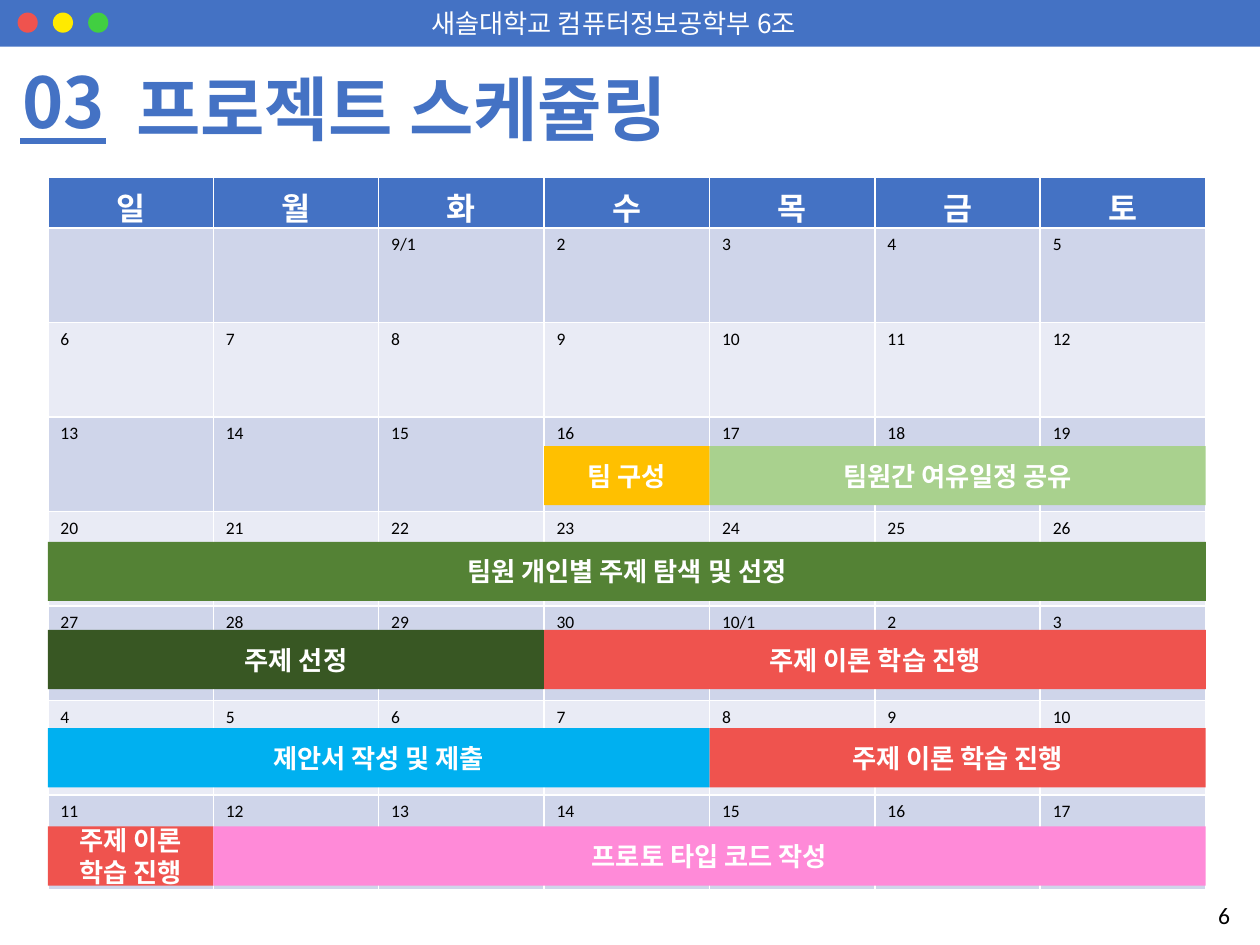
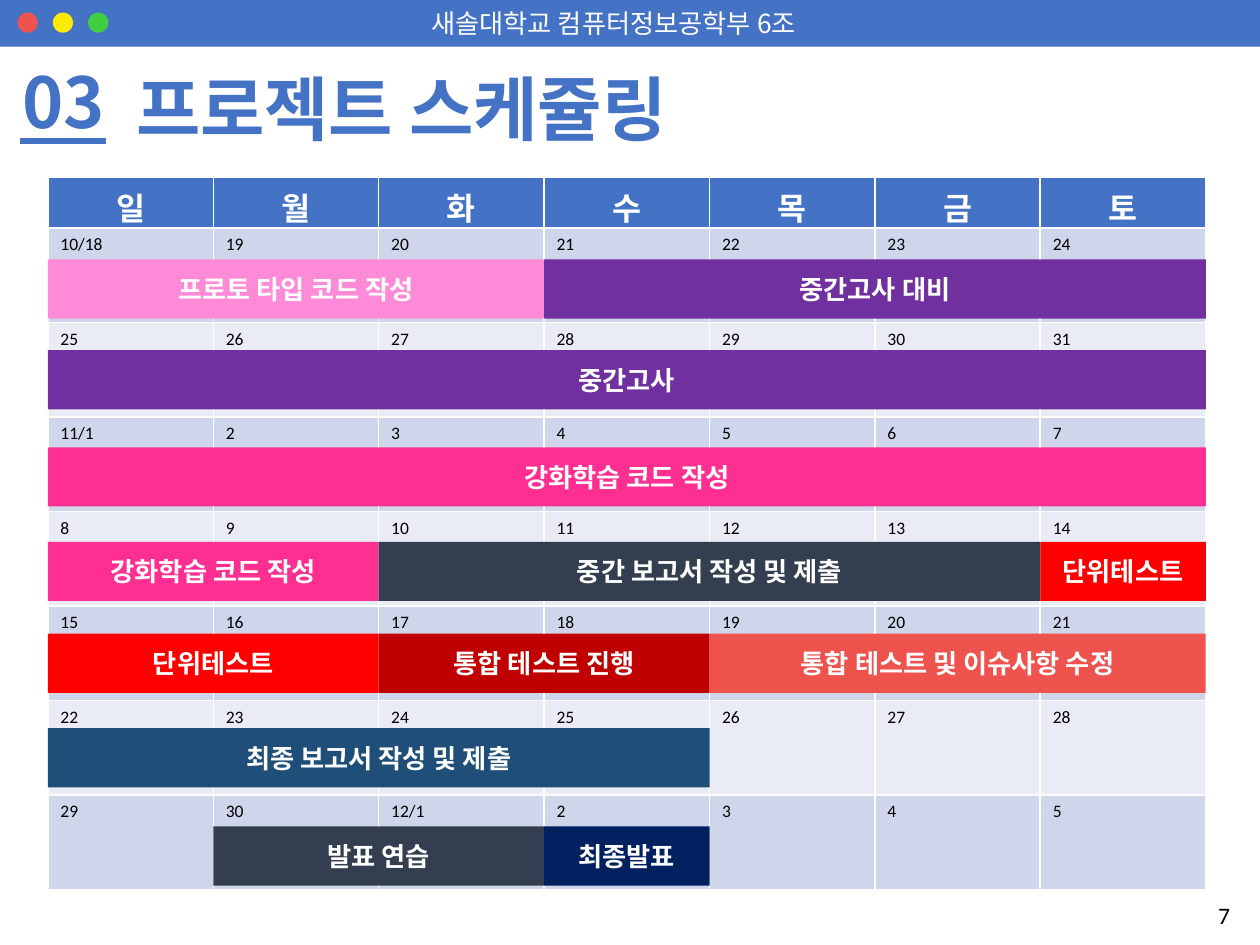
from pptx import Presentation
from pptx.dml.color import RGBColor
from pptx.enum.shapes import MSO_CONNECTOR, MSO_SHAPE
from pptx.enum.text import MSO_ANCHOR, MSO_AUTO_SIZE, PP_ALIGN
from pptx.oxml.xmlchemy import OxmlElement
from pptx.util import Pt

PX = 9144
RECT, OVAL = MSO_SHAPE.RECTANGLE, MSO_SHAPE.OVAL
STRAIGHT = MSO_CONNECTOR.STRAIGHT
TOP, MIDDLE = MSO_ANCHOR.TOP, MSO_ANCHOR.MIDDLE
LEFT, CENTER = PP_ALIGN.LEFT, PP_ALIGN.CENTER
NO_FIT = MSO_AUTO_SIZE.NONE
TITLE_ONLY = 5

HEAD_FONT, BODY_FONT = "Noto Sans CJK KR", "Calibri"
COLORS = {
    "blue": "4472C4", "white": "FFFFFF", "black": "000000",
    "band_dark": "CFD5EA", "band_light": "E9EBF5",
    "coral": "EF534E", "yellow": "FFEA00", "lime": "41CF41",
    "amber": "FFC000", "sage": "A9D18E", "green": "548235",
    "forest": "385723", "sky": "00B0F0", "pink": "FF8AD8",
    "purple": "7030A0", "magenta": "FF2F92", "slate": "333F50",
    "red": "FF0000", "crimson": "C00000", "steel": "1F4E79", "navy": "002060",
}

WEEKDAYS = "일월화수목금토"
WEEKS = 7
MONTH_DAYS = {9: 30, 10: 31, 11: 30, 12: 31}
TABLE_LEFT, TABLE_TOP, TABLE_WIDTH = 38, 141, 919
HEADER_HEIGHT, WEEK_HEIGHT, BAR_HEIGHT = 40, 75, 47

SCHEDULES = [
    {
        "page": 6, "start": (9, 1), "blanks": 2,
        "bars": {
            354: [(3, 1, "amber", "팀 구성"), (4, 3, "sage", "팀원간 여유일정 공유")],
            430: [(0, 7, "green", "팀원 개인별 주제 탐색 및 선정")],
            500: [(0, 3, "forest", "주제 선정"), (3, 4, "coral", "주제 이론 학습 진행")],
            578: [(0, 4, "sky", "제안서 작성 및 제출"), (4, 3, "coral", "주제 이론 학습 진행")],
            656: [(0, 1, "coral", "주제 이론 학습 진행"), (1, 6, "pink", "프로토 타입 코드 작성")],
        },
    },
    {
        "page": 7, "start": (10, 18), "blanks": 0,
        "bars": {
            206: [(0, 3, "pink", "프로토 타입 코드 작성"), (3, 4, "purple", "중간고사 대비")],
            278: [(0, 7, "purple", "중간고사")],
            355: [(0, 7, "magenta", "강화학습 코드 작성")],
            430: [(0, 2, "magenta", "강화학습 코드 작성"),
                  (2, 4, "slate", "중간 보고서 작성 및 제출"), (6, 1, "red", "단위테스트")],
            503: [(0, 2, "red", "단위테스트"), (2, 2, "crimson", "통합 테스트 진행"),
                  (4, 3, "coral", "통합 테스트 및 이슈사항 수정")],
            578: [(0, 4, "steel", "최종 보고서 작성 및 제출")],
            656: [(1, 2, "slate", "발표 연습"), (3, 1, "navy", "최종발표")],
        },
    },
]


def rgb(color):
    return RGBColor.from_string(COLORS[color])


def emu(*lengths):
    return [round(n * PX) for n in lengths]


def day_labels(start, blanks):
    month, day = start
    labels = [""] * blanks + [f"{month}/{day}"]
    while len(labels) < WEEKS * len(WEEKDAYS):
        day += 1
        if day > MONTH_DAYS[month]:
            month, day = month + 1, 1
            labels.append(f"{month}/{day}")
        else:
            labels.append(str(day))
    return labels


class Deck:
    def __init__(self):
        self.prs = Presentation()
        self.prs.slide_width, self.prs.slide_height = emu(1000, 750)
        self.s = None

    def new_slide(self):
        self.s = self.prs.slides.add_slide(self.prs.slide_layouts[TITLE_ONLY])

    def set_text(self, tf, text, size, color, font=BODY_FONT, bold=False, align=LEFT):
        p = tf.paragraphs[0]
        p.text = text
        p.alignment = align
        p.font.name = font
        p.font.size = Pt(size)
        p.font.bold = bold
        p.font.color.rgb = rgb(color)

    def shape(self, kind, x, y, w, h, color):
        sp = self.s.shapes.add_shape(kind, *emu(x, y, w, h))
        sp.shadow.inherit = False
        sp.fill.solid()
        sp.fill.fore_color.rgb = rgb(color)
        sp.line.fill.background()
        return sp

    def text(self, x, y, w, h, text, size, color, anchor=MIDDLE, **style):
        tf = self.s.shapes.add_textbox(*emu(x, y, w, h)).text_frame
        tf.word_wrap = True
        tf.vertical_anchor = anchor
        self.set_text(tf, text, size, color, **style)

    def title(self, number, text):
        sp = self.s.shapes.title
        sp.left, sp.top, sp.width, sp.height = emu(98, 47, 591, 77)
        tf = sp.text_frame
        tf.auto_size = NO_FIT
        tf.vertical_anchor = MIDDLE
        self.set_text(tf, text, 40, "blue", font=HEAD_FONT, bold=True)
        self.text(8, 41, 102, 77, number, 40, "blue", font=HEAD_FONT, bold=True)
        self.line(16, 112, 84, 112, "blue", 3)

    def line(self, x1, y1, x2, y2, color, width):
        c = self.s.shapes.add_connector(STRAIGHT, *emu(x1, y1, x2, y2))
        c.line.color.rgb = rgb(color)
        c.line.width = Pt(width)
        c._element.spPr.append(OxmlElement("a:effectLst"))

    def frame(self, page):
        self.shape(RECT, 0, 0, 1000, 37, "blue")
        for i, color in enumerate(("coral", "yellow", "lime")):
            self.shape(OVAL, 14 + 28 * i, 10, 16, 16, color)
        self.text(260, 1, 454, 35, "새솔대학교 컴퓨터정보공학부 6조", 15, "white",
                  font=HEAD_FONT, align=CENTER)
        self.text(957, 710, 52, 40, str(page), 13.5, "black", anchor=TOP)

    def calendar(self, labels):
        days = len(WEEKDAYS)
        height = HEADER_HEIGHT + WEEKS * WEEK_HEIGHT
        table = self.s.shapes.add_table(
            WEEKS + 1, days, *emu(TABLE_LEFT, TABLE_TOP, TABLE_WIDTH, height)).table
        for i, row in enumerate(table.rows):
            row.height = emu(WEEK_HEIGHT if i else HEADER_HEIGHT)[0]
        for i, label in enumerate([*WEEKDAYS, *labels]):
            week, day = divmod(i, days)
            cell = table.cell(week, day)
            cell.fill.solid()
            if week == 0:
                cell.fill.fore_color.rgb = rgb("blue")
                self.set_text(cell.text_frame, label, 18, "white", bold=True, align=CENTER)
            else:
                cell.fill.fore_color.rgb = rgb("band_dark" if week % 2 else "band_light")
                self.set_text(cell.text_frame, label, 10, "black")

    def bar(self, top, first_day, days, color, text):
        step = TABLE_WIDTH / len(WEEKDAYS)
        sp = self.shape(RECT, TABLE_LEFT + first_day * step, top, days * step, BAR_HEIGHT, color)
        tf = sp.text_frame
        tf.word_wrap = True
        tf.vertical_anchor = MIDDLE
        self.set_text(tf, text, 15, "white", bold=True, align=CENTER)


def main():
    deck = Deck()
    for schedule in SCHEDULES:
        deck.new_slide()
        deck.frame(schedule["page"])
        deck.title("03", "프로젝트 스케쥴링")
        deck.calendar(day_labels(schedule["start"], schedule["blanks"]))
        for top, bars in schedule["bars"].items():
            for bar in bars:
                deck.bar(top, *bar)
    deck.prs.save("out.pptx")


if __name__ == "__main__":
    main()
